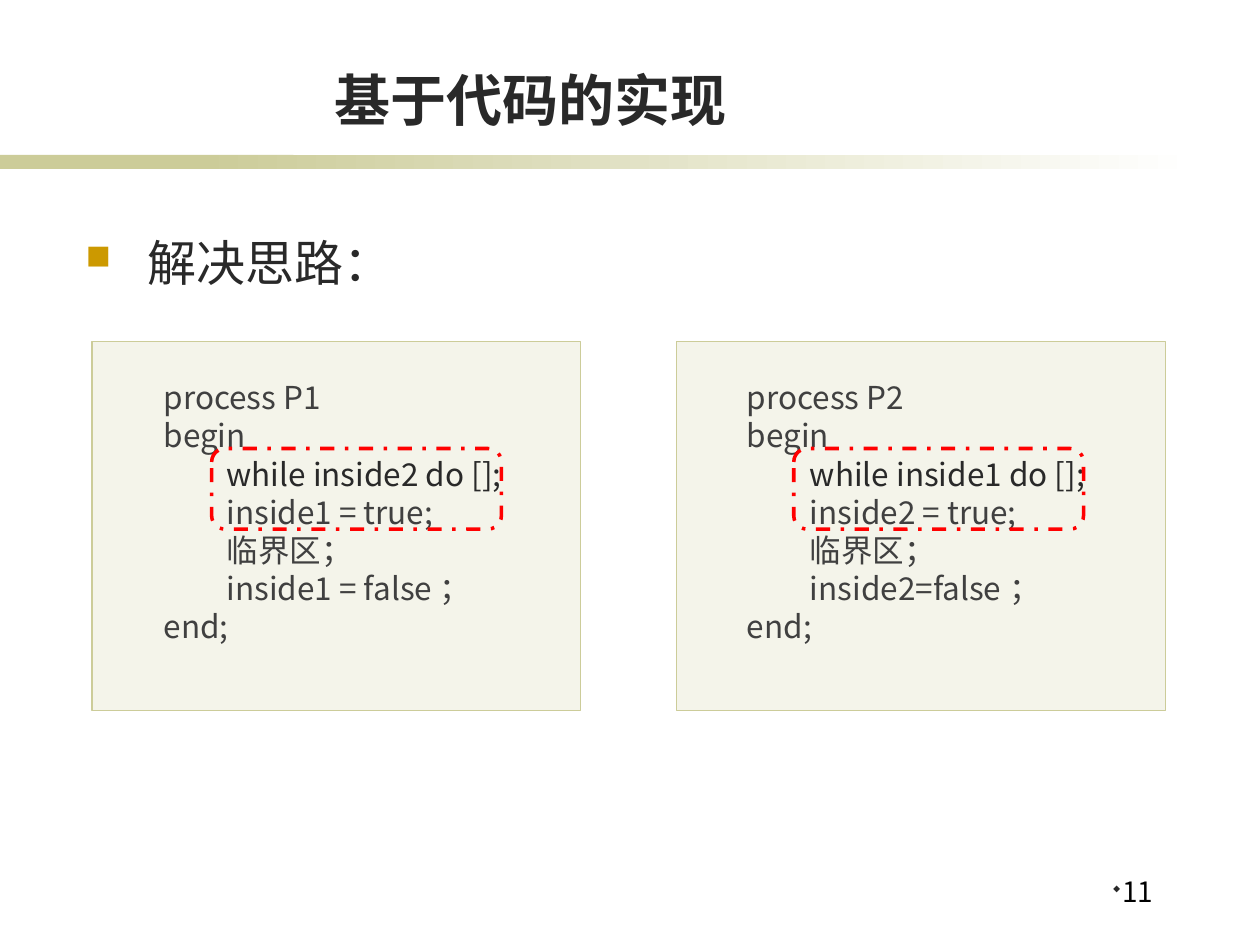
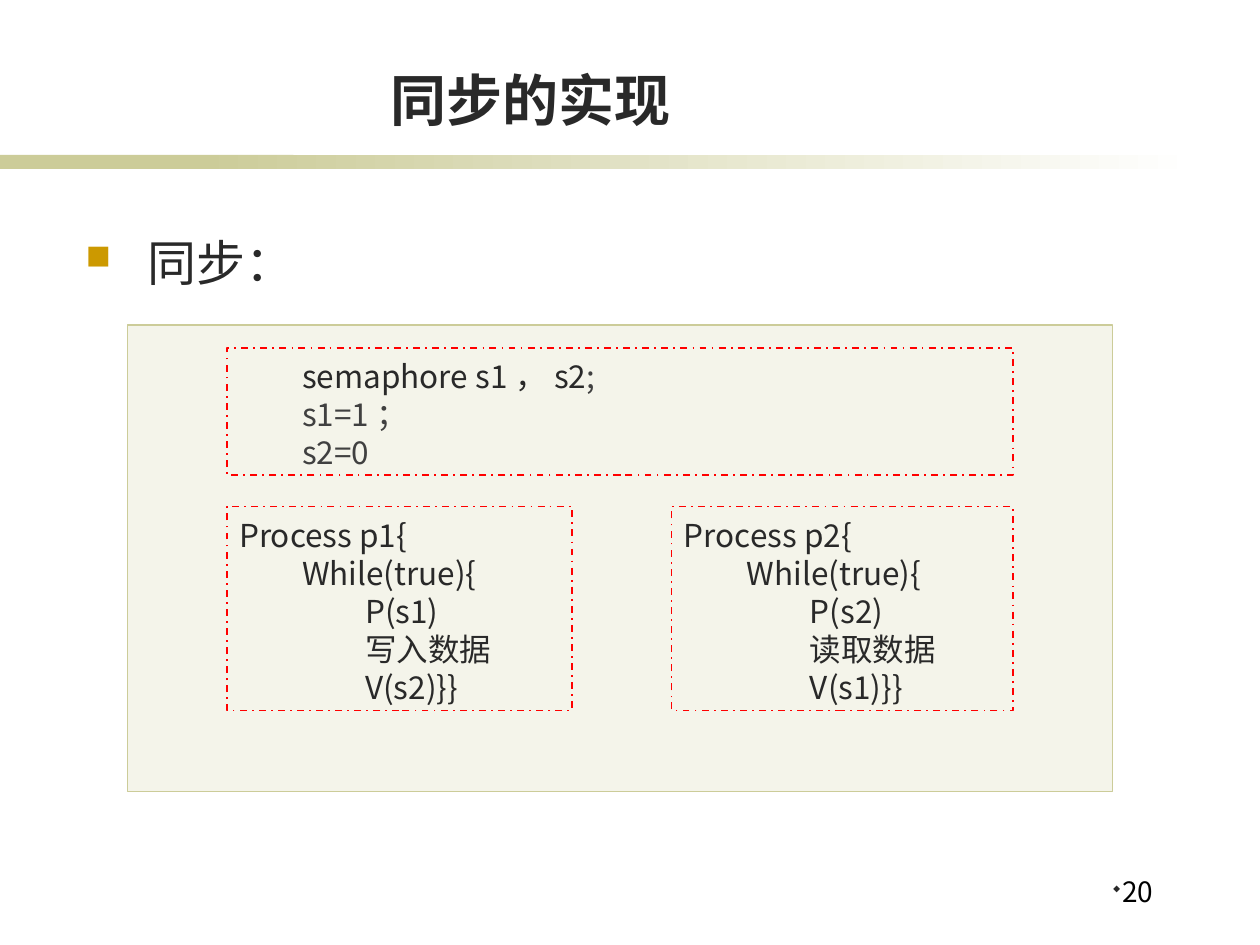
from dataclasses import dataclass

from lxml.etree import SubElement
from pptx import Presentation
from pptx.dml.color import RGBColor
from pptx.enum.dml import MSO_LINE_DASH_STYLE as Dash
from pptx.enum.shapes import MSO_SHAPE as Shape
from pptx.enum.text import MSO_ANCHOR as Anchor, MSO_AUTO_SIZE as AutoSize, PP_ALIGN as Align
from pptx.oxml.ns import qn
from pptx.util import Emu, Pt

PX = 9144  # 100 px to the inch


@dataclass(frozen=True)
class Theme:
    font: str = "Noto Sans CJK SC"
    ink: str = "292929"
    gray: str = "404040"
    black: str = "000000"
    olive: str = "CCCC99"
    white: str = "FFFFFF"
    gold: str = "CC9900"
    red: str = "FF0000"
    title: int = 32
    body: int = 28
    code: int = 18
    number: int = 16
    leading: float = 1.21


theme = Theme()


def write(shape, lines, size=theme.code, color=theme.ink, bold=False, align=Align.LEFT,
          anchor=Anchor.TOP, bottom=5, bullet=None, hanging=0):
    """A line is a string, or a list of (text, colour) runs; bullet is (Wingdings char, colour, %)."""
    frame = shape.text_frame
    frame.word_wrap = True
    frame.auto_size = AutoSize.NONE
    frame.vertical_anchor = anchor
    frame.margin_left = frame.margin_right = Emu(10 * PX)
    frame.margin_top, frame.margin_bottom = Emu(7 * PX), Emu(bottom * PX)
    for index, line in enumerate(lines):
        paragraph = frame.add_paragraph() if index else frame.paragraphs[0]
        if bullet:
            char, bullet_color, percent = bullet
            properties = paragraph._p.get_or_add_pPr()
            properties.set("marL", str(hanging * PX))
            properties.set("indent", str(-hanging * PX))
            SubElement(SubElement(properties, qn("a:buClr")), qn("a:srgbClr"), val=bullet_color)
            SubElement(properties, qn("a:buSzPct"), val=str(percent * 1000))
            SubElement(properties, qn("a:buFont"), typeface="Wingdings", charset="2")
            SubElement(properties, qn("a:buChar"), char=char)
        paragraph.alignment = align
        paragraph.space_before = Pt(0)
        paragraph.line_spacing = Pt(round(size * theme.leading, 1))
        for text, run_color in [(line, color)] if isinstance(line, str) else line:
            run = paragraph.add_run()
            run.text = text
            run.font.size, run.font.bold = Pt(size), bold
            run.font.color.rgb = RGBColor.from_string(run_color)
            run.font.name = theme.font
            SubElement(run._r.get_or_add_rPr(), qn("a:ea"), typeface=theme.font)


def add_box(slide, kind, place, fill=None, alpha=100, line=None, width=1, dash=None):
    shape = slide.shapes.add_shape(kind, *(Emu(length * PX) for length in place))
    shape.shadow.inherit = False
    if fill:
        shape.fill.solid()
        shape.fill.fore_color.rgb = RGBColor.from_string(fill)
        if alpha < 100:
            color = shape._element.spPr.find(qn("a:solidFill")).find(qn("a:srgbClr"))
            SubElement(color, qn("a:alpha"), val=str(alpha * 1000))
    else:
        shape.fill.background()
    if line:
        shape.line.color.rgb = RGBColor.from_string(line)
        shape.line.width = Pt(width)
        if dash:
            shape.line.dash_style = dash
    else:
        shape.line.fill.background()
    return shape


presentation = Presentation()
presentation.slide_width, presentation.slide_height = Emu(1000 * PX), Emu(750 * PX)

panel_style = dict(fill=theme.olive, alpha=20, line=theme.olive, width=0.75)
mark_style = dict(line=theme.red, dash=Dash.DASH_DOT)

# Title, bands, lead bullet and page number of each slide
slides = []
for title, lead, number in [("基于代码的实现", "解决思路：", "11"), ("同步的实现", "同步：", "20")]:
    slide = presentation.slides.add_slide(presentation.slide_layouts[1])
    slides.append(slide)
    add_box(slide, Shape.RECTANGLE, (0, 123, 233, 11), fill=theme.olive)
    fade = add_box(slide, Shape.RECTANGLE, (158, 123, 792, 11))
    fade.fill.gradient()
    fade.fill.gradient_angle = 0
    for stop, position, color in zip(fade.fill.gradient_stops, (0, 1), (theme.olive, theme.white)):
        stop.position = position
        stop.color.rgb = RGBColor.from_string(color)

    heading, body = slide.placeholders
    number_box = slide.shapes.add_textbox(0, 0, 0, 0)
    for shape, place in [(heading, (114, 44, 614, 63)), (body, (58, 177, 867, 450)),
                         (number_box, (823, 687, 102, 50))]:
        shape.left, shape.top, shape.width, shape.height = (Emu(length * PX) for length in place)
    write(heading, [title], size=theme.title, bold=True, align=Align.CENTER,
          anchor=Anchor.BOTTOM, bottom=2)
    write(body, [lead], size=theme.body, bullet=("n", theme.gold, 70), hanging=49)
    write(number_box, [number], size=theme.number, color=theme.black, align=Align.RIGHT,
          bullet=("w", theme.ink, 60))

code_slide, semaphore_slide = slides

# Two processes that test each other's flag
for own, other, panel_left, code_left, mark_left, reset in [
    (1, 2, 73, 120, 168, "inside1 = false；"),
    (2, 1, 537, 583, 630, "inside2=false；"),
]:
    add_box(code_slide, Shape.FLOWCHART_PROCESS, (panel_left, 271, 388, 293), **panel_style)
    code = add_box(code_slide, Shape.RECTANGLE, (code_left, 293, 295, 222))
    write(code, [
        f"process P{own}",
        "begin",
        [(f"\twhile inside{other} do [];", theme.ink)],
        f"\tinside{own} = true;",
        "\t临界区；",
        f"\t{reset}",
        "end;",
    ], color=theme.gray)
    add_box(code_slide, Shape.ROUNDED_RECTANGLE, (mark_left, 356, 230, 64), width=2, **mark_style)

# Semaphores shared by a writer and a reader
add_box(semaphore_slide, Shape.FLOWCHART_PROCESS, (101, 258, 782, 370), **panel_style)
declaration = add_box(semaphore_slide, Shape.RECTANGLE, (180, 276, 624, 101), **mark_style)
write(declaration, [
    [("\tsemaphore s1，s2", theme.ink), (";", theme.gray)],
    "\ts1=1；",
    "\ts2=0",
], color=theme.gray)
for own, other, left, width, action in [(1, 2, 180, 274, "写入数据"), (2, 1, 533, 271, "读取数据")]:
    process = add_box(semaphore_slide, Shape.RECTANGLE, (left, 402, width, 162), **mark_style)
    write(process, [
        f"Process p{own}{{",
        "\tWhile(true){",
        f"\t\tP(s{own})",
        f"\t\t{action}",
        f"\t\tV(s{other})}}}}",
    ])

presentation.save("out.pptx")
